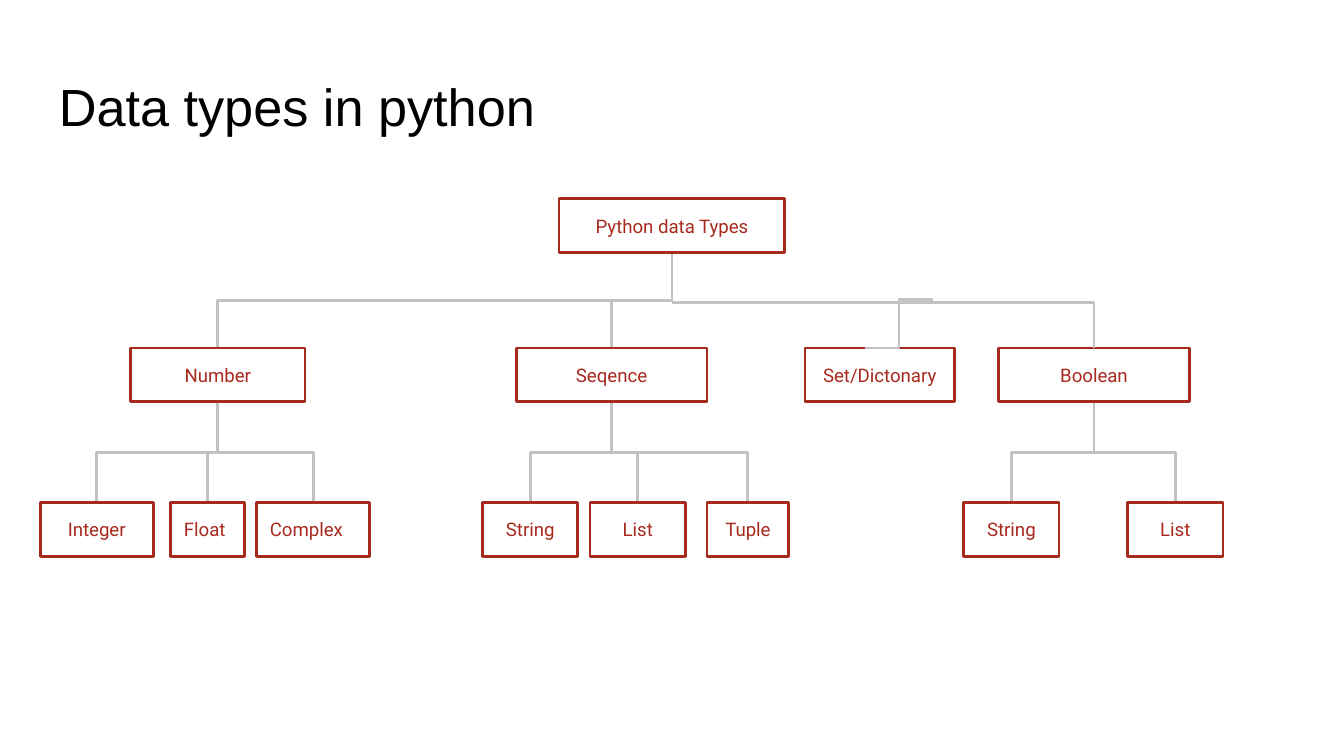
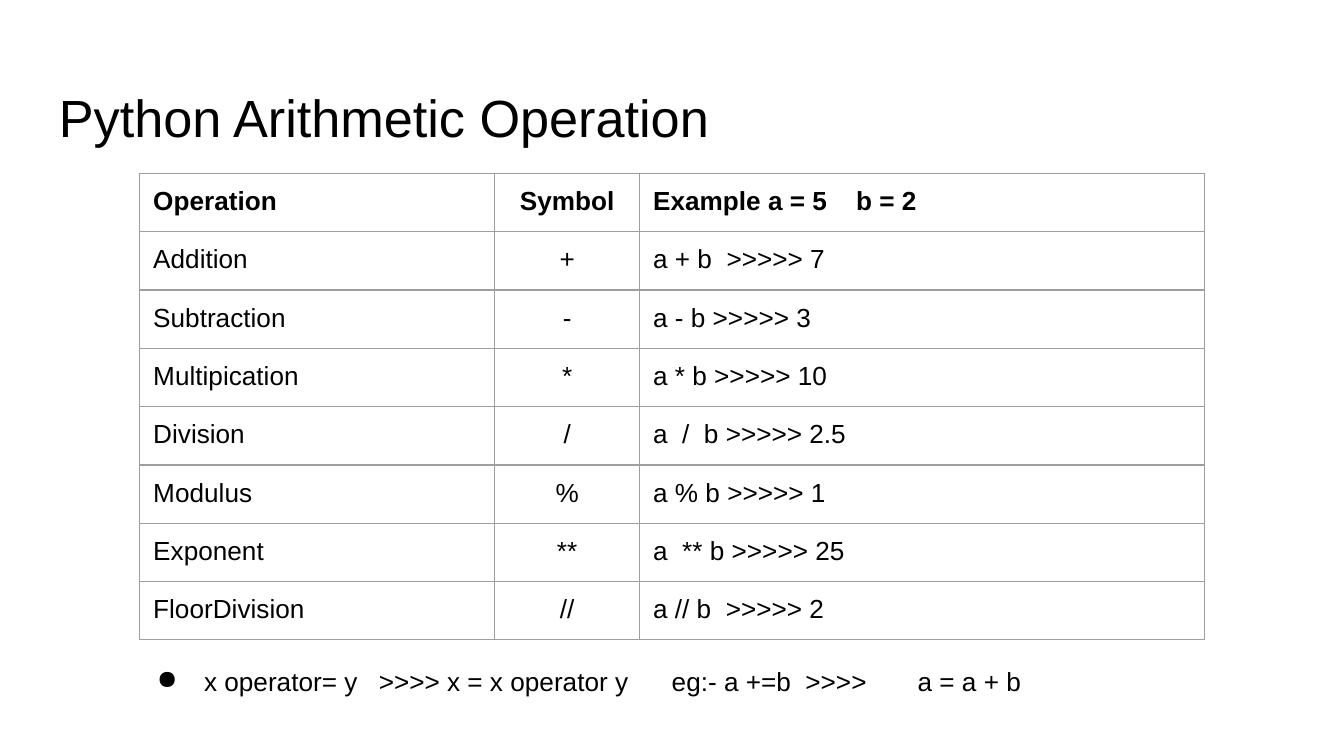
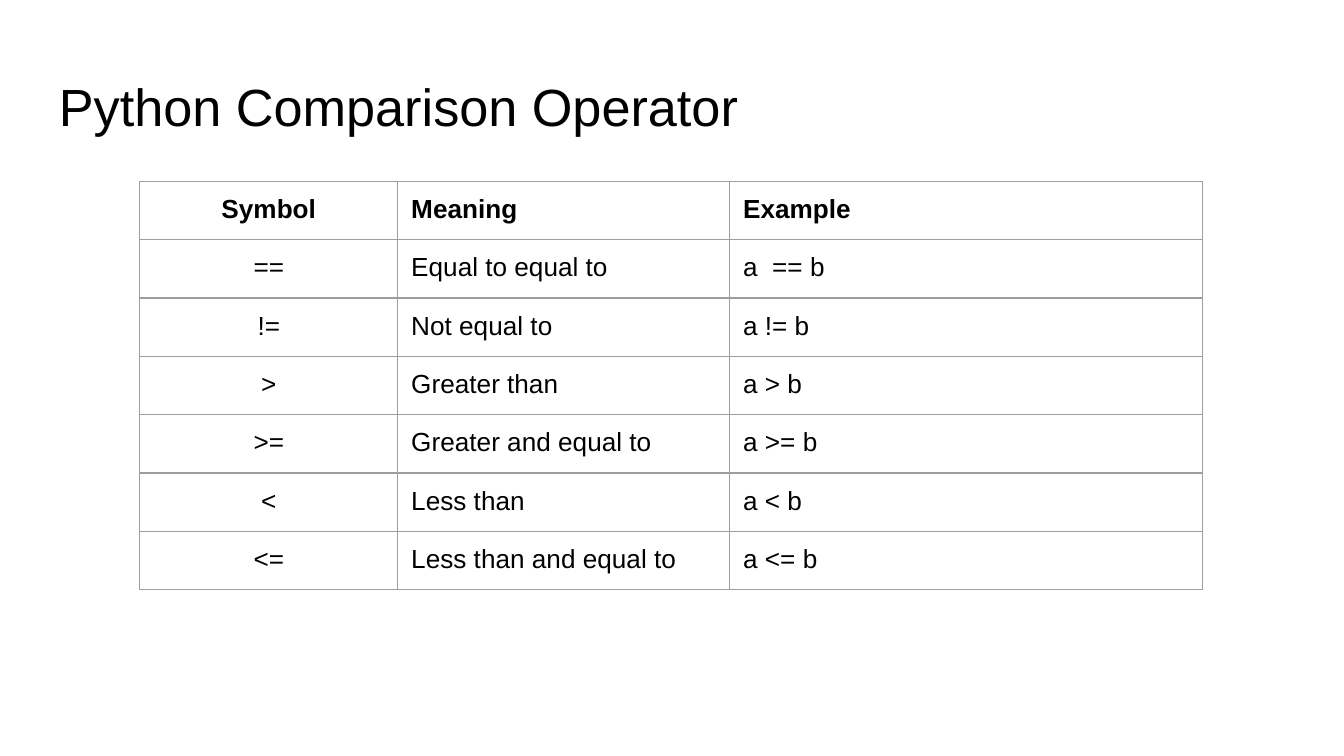
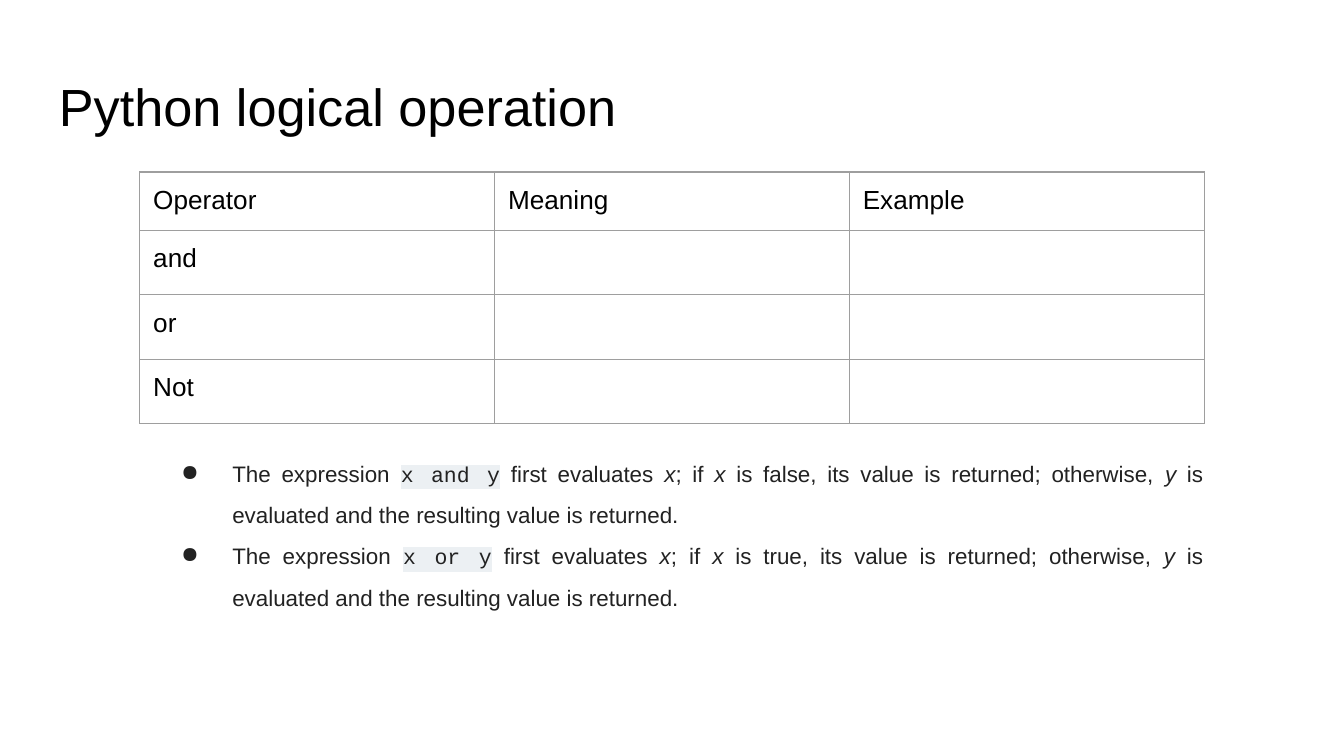
from dataclasses import dataclass
from typing import Sequence

from lxml.etree import SubElement
from pptx import Presentation
from pptx.dml.color import RGBColor
from pptx.enum.shapes import MSO_CONNECTOR, MSO_SHAPE
from pptx.enum.text import MSO_ANCHOR, PP_ALIGN
from pptx.oxml.ns import qn
from pptx.util import Inches, Pt


@dataclass(frozen=True)
class Theme:
    ink: str = "000000"
    soft: str = "222222"
    red: str = "A72A1E"
    wire: str = "C2C2C2"
    rule: str = "9E9E9E"
    shade: str = "ECF0F3"
    sans: str = "Arial"
    mono: str = "Courier New"
    label: str = "Roboto"
    head: float = 28
    body: float = 14
    note: float = 12
    code: float = 11.5
    small: float = 10
    line: float = 1.5
    edge: float = 0.75


@dataclass(frozen=True)
class Node:
    text: str
    left: float
    width: float
    tier: int
    align: PP_ALIGN = PP_ALIGN.CENTER

    @property
    def mid(self) -> float:
        return self.left + self.width / 2

    @property
    def top(self) -> float:
        return TIERS[self.tier]

    @property
    def foot(self) -> float:
        return self.top + TALL


@dataclass(frozen=True)
class Grid:
    top: float
    cols: Sequence[float]
    rows: Sequence[float]
    cells: Sequence[Sequence[str]]
    mid: int = -1
    bold: bool = True


THEME = Theme()
WIDE, HIGH = Inches(10), Inches(5.625)
UNIT = WIDE / 100
PAD = 1
TALL = 4
TIERS = (14.8, 25.9, 37.4)
TABLE = 10.4
ROW = 4.18

ROOT = Node("Python data Types", 41.6, 16.8, 0)
SET = Node("Set/Dictonary", 59.9, 11.1, 1)
BOOL = Node("Boolean", 74.3, 14.2, 1)
TREE = {
    Node("Number", 9.7, 13, 1): (
        Node("Integer", 3, 8.4, 2),
        Node("Float", 12.7, 5.5, 2, PP_ALIGN.LEFT),
        Node("Complex", 19.1, 8.4, 2, PP_ALIGN.LEFT),
    ),
    Node("Seqence", 38.4, 14.2, 1): (
        Node("String", 35.9, 7.1, 2),
        Node("List", 43.9, 7.1, 2),
        Node("Tuple", 52.6, 6.1, 2),
    ),
    BOOL: (
        Node("String", 71.7, 7.1, 2),
        Node("List", 83.9, 7.1, 2),
    ),
}

MATH = Grid(12.9, (26.4, 10.8, 42), (ROW,) * 8, (
    ("Operation", "Symbol", "Example a = 5\tb = 2"),
    ("Addition", "+", "a + b  >>>>> 7"),
    ("Subtraction", "-", "a - b >>>>> 3"),
    ("Multipication", "*", "a * b >>>>> 10"),
    ("Division", "/", "a  /  b >>>>> 2.5"),
    ("Modulus", "%", "a % b >>>>> 1"),
    ("Exponent", "**", "a  ** b >>>>> 25"),
    ("FloorDivision", "//", "a // b  >>>>> 2"),
), mid=1)

TESTS = Grid(13.5, (19.2, 24.7, 35.2), (ROW,) * 7, (
    ("Symbol", "Meaning", "Example"),
    ("==", "Equal to equal to", "a  == b"),
    ("!=", "Not equal to", "a != b"),
    (">", "Greater than", "a > b"),
    (">=", "Greater and equal to", "a >= b"),
    ("<", "Less than", "a < b"),
    ("<=", "Less than and equal to", "a <= b"),
), mid=0)

LOGIC = Grid(12.8, (26.4,) * 3, (ROW, 4.8, 4.8, 4.8), (
    ("Operator", "Meaning", "Example"),
    ("and", "", ""),
    ("or", "", ""),
    ("Not", "", ""),
), bold=False)


def span(count: float) -> int:
    return round(count * UNIT)


def paint(font, size: float, color: str, name: str = THEME.sans) -> None:
    font.size = Pt(size)
    font.name = name
    font.color.rgb = RGBColor.from_string(color)


def pad(frame) -> None:
    frame.margin_left = frame.margin_right = span(PAD)
    frame.margin_top = frame.margin_bottom = span(PAD)


def write(slide, left: float, top: float, width: float, height: float):
    box = slide.shapes.add_textbox(*map(span, (left, top, width, height)))
    frame = box.text_frame
    frame.word_wrap = True
    pad(frame)
    return frame


def title(slide, text: str, top: float = 4.9) -> None:
    frame = write(slide, 3.4, top, 93.2, 6.3)
    frame.vertical_anchor = MSO_ANCHOR.BOTTOM
    para = frame.paragraphs[0]
    para.text = text
    paint(para.font, THEME.head, THEME.ink)


def dot(para, color: str, hang: float) -> None:
    props = para._p.get_or_add_pPr()
    props.set("marL", str(span(5)))
    props.set("indent", str(-span(hang)))
    tint = SubElement(props, qn("a:buClr"))
    SubElement(tint, qn("a:srgbClr"), val=color)
    SubElement(props, qn("a:buChar"), char="●")


def stops(para, marks: Sequence[float]) -> None:
    tabs = SubElement(para._p.get_or_add_pPr(), qn("a:tabLst"))
    for mark in marks:
        SubElement(tabs, qn("a:tab"), pos=str(span(mark)), algn="l")


def draw(slide, node: Node) -> None:
    box = slide.shapes.add_shape(
        MSO_SHAPE.RECTANGLE, *map(span, (node.left, node.top, node.width, TALL)))
    box.shadow.inherit = False
    box.fill.background()
    box.line.color.rgb = RGBColor.from_string(THEME.red)
    box.line.width = Pt(THEME.line)
    frame = box.text_frame
    frame.word_wrap = True
    frame.vertical_anchor = MSO_ANCHOR.MIDDLE
    pad(frame)
    para = frame.paragraphs[0]
    para.text = node.text
    para.alignment = node.align
    paint(para.font, THEME.small, THEME.red, THEME.label)


def wire(slide, x: float, y: float, to_x: float, to_y: float):
    link = slide.shapes.add_connector(
        MSO_CONNECTOR.ELBOW, *map(span, (x, y, to_x, to_y)))
    link.line.color.rgb = RGBColor.from_string(THEME.wire)
    link.line.width = Pt(THEME.line)
    SubElement(link._element.spPr, qn("a:effectLst"))
    return link


def branch(slide, top: Node, low: Node) -> None:
    drop, reach = low.top - top.foot, abs(low.mid - top.mid)
    x = (top.mid + low.mid - drop) / 2
    y = (top.foot + low.top - reach) / 2
    link = wire(slide, x, y, x + drop, y + reach)
    form = link._element.spPr.find(qn("a:xfrm"))
    right = low.mid > top.mid
    form.set("rot", str((270 if right else 90) * 60000))
    if right:
        form.set("flipH", "1")


def table(slide, grid: Grid) -> None:
    frame = slide.shapes.add_table(
        len(grid.rows), len(grid.cols),
        *map(span, (TABLE, grid.top, sum(grid.cols), sum(grid.rows))))
    body = frame.table
    body.first_row = body.horz_banding = False
    for col, width in zip(body.columns, grid.cols):
        col.width = span(width)
    for row, height in zip(body.rows, grid.rows):
        row.height = span(height)
    for r, texts in enumerate(grid.cells):
        for c, text in enumerate(texts):
            cell = body.cell(r, c)
            pad(cell)
            border(cell)
            cell.fill.background()
            para = cell.text_frame.paragraphs[0]
            para.text = text
            if "\t" in text:
                stops(para, (15.1,))
            if c == grid.mid:
                para.alignment = PP_ALIGN.CENTER
            paint(para.font, THEME.body, THEME.ink)
            para.font.bold = grid.bold and r == 0


def border(cell) -> None:
    props = cell._tc.get_or_add_tcPr()
    for side in "LRTB":
        line = SubElement(props, qn(f"a:ln{side}"), w=str(Pt(THEME.edge)))
        fill = SubElement(line, qn("a:solidFill"))
        SubElement(fill, qn("a:srgbClr"), val=THEME.rule)


def explain(para, code: str, truth: str) -> None:
    para.alignment = PP_ALIGN.JUSTIFY
    para.line_spacing = 1.53
    dot(para, THEME.soft, 3.8)
    paint(para.font, THEME.note, THEME.soft)
    parts = (
        "The expression ", code, " first evaluates ", "x", "; if ", "x",
        f" is {truth}, its value is returned; otherwise, ", "y",
        " is evaluated and the resulting value is returned.",
    )
    for part in parts:
        run = para.add_run()
        run.text = part
        if part == code:
            run.font.size = Pt(THEME.code)
            run.font.name = THEME.mono
            glow = SubElement(run._r.get_or_add_rPr(), qn("a:highlight"))
            SubElement(glow, qn("a:srgbClr"), val=THEME.shade)
            run._r.rPr.insert(0, glow)
        elif part in ("x", "y"):
            run.font.italic = True


def types(slide) -> None:
    title(slide, "Data types in python")
    for node, kids in TREE.items():
        if node is not BOOL:
            branch(slide, ROOT, node)
        for kid in kids:
            branch(slide, node, kid)
    for node in (ROOT, SET, *TREE, *(kid for kids in TREE.values() for kid in kids)):
        draw(slide, node)
    elbow = wire(slide, ROOT.mid, 22.5, BOOL.mid, BOOL.top)
    elbow._element.spPr.find(qn("a:prstGeom")).set("prst", "bentConnector2")
    wire(slide, 69.4, 22.3, 64.4, SET.top)


def sums(slide) -> None:
    title(slide, "Python Arithmetic Operation", 5.7)
    table(slide, MATH)
    para = write(slide, 9.2, 48.5, 80.4, 5.3).paragraphs[0]
    para.text = "x operator= y\t>>>> x = x operator y\teg:- a +=b  >>>>\ta = a + b"
    dot(para, THEME.ink, 3.5)
    stops(para, (18, 39.8, 58.1))
    paint(para.font, THEME.body, THEME.ink)


def tests(slide) -> None:
    title(slide, "Python Comparison Operator")
    table(slide, TESTS)


def logic(slide) -> None:
    title(slide, "Python logical operation")
    frame = write(slide, 11.3, 32.2, 79.2, 19.3)
    first = frame.paragraphs[0]
    first.space_before = Pt(12)
    explain(first, "x and y", "false")
    explain(frame.add_paragraph(), "x or y", "true")
    table(slide, LOGIC)


def main() -> None:
    deck = Presentation()
    deck.slide_width, deck.slide_height = WIDE, HIGH
    for build in (types, sums, tests, logic):
        build(deck.slides.add_slide(deck.slide_layouts[6]))
    deck.save("out.pptx")


if __name__ == "__main__":
    main()
